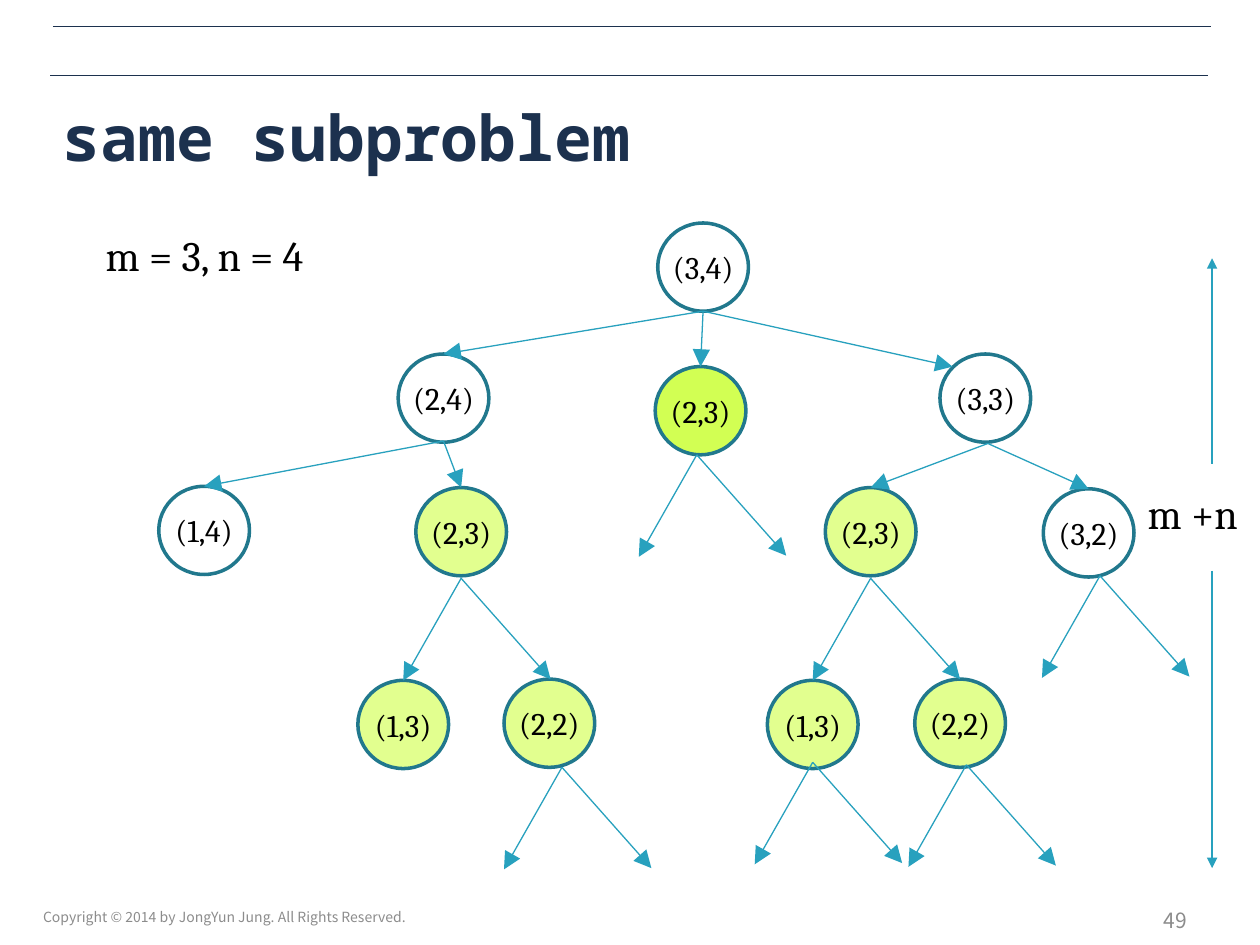
from lxml import etree
from pptx import Presentation
from pptx.dml.color import RGBColor
from pptx.enum import shapes, text
from pptx.oxml import ns
from pptx.util import Inches, Pt

HUES = {"navy": "1C314E", "rim": "21788D", "edge": "28A1BE", "ink": "000000",
        "gray": "8C8C8C", "lime": "E2FF8F", "bright": "D2FF53"}
SERIF, SANS, MONO = "Cambria", "Noto Sans CJK KR", "Noto Sans Mono"
WIDE, HIGH = 0.72, 0.7

# Nodes: label, left, top, fill
NODES = [
    ("(3,4)", 5.22, 1.77, None),
    ("(2,4)", 3.16, 2.81, None), ("(2,3)", 5.2, 2.91, "bright"),
    ("(3,3)", 7.46, 2.81, None),
    ("(1,4)", 1.26, 3.86, None), ("(2,3)", 3.3, 3.87, "lime"),
    ("(2,3)", 6.55, 3.87, "lime"), ("(3,2)", 8.28, 3.88, None),
    ("(1,3)", 2.84, 5.4, "lime"), ("(2,2)", 4, 5.39, "lime"),
    ("(1,3)", 6.09, 5.4, "lime"), ("(2,2)", 7.26, 5.39, "lime"),
]
# Upper edges: start, ends
EDGES = [
    ((5.58, 2.47), [(3.52, 2.81), (5.56, 2.91), (7.56, 2.91)]),
    ((3.52, 3.5), [(1.62, 3.86), (3.66, 3.87)]),
    ((7.84, 3.52), [(6.91, 3.87), (8.64, 3.88)]),
]
# Lower edges: every fork has the same two arms
FORKS = [(3.66, 4.59), (6.91, 4.59), (5.53, 3.61), (8.73, 4.57),
         (6.45, 6.05), (4.46, 6.09), (7.67, 6.07)]
ARMS = [(-0.46, 0.81), (0.71, 0.8)]
# Height arrows and header rules
SPANS = [((9.62, 3.68), (9.62, 2.05)), ((9.62, 4.53), (9.62, 6.89))]
RULES = [((0.42, 0.21), (9.61, 0.21)), ((0.4, 0.6), (9.59, 0.6))]
# Texts: words, box, font, size, colour, bold, align, anchor, wrap
LEFT, MID, RIGHT = text.PP_ALIGN.LEFT, text.PP_ALIGN.CENTER, text.PP_ALIGN.RIGHT
TOP, HALF = text.MSO_ANCHOR.TOP, text.MSO_ANCHOR.MIDDLE
TEXTS = [
    ("same subproblem", (0.4, 0.62, 9.18, 0.93), MONO, 36, "navy", True, LEFT, HALF, True),
    ("m = 3, n = 4", (0.74, 1.77, 1.97, 0.5), SERIF, 24, "ink", False, LEFT, TOP, False),
    ("m +n", (9.01, 3.82, 0.99, 0.5), SERIF, 24, "ink", False, LEFT, TOP, False),
    ("Copyright © 2014 by JongYun Jung. All Rights Reserved.",
     (0.2, 7.08, 3.17, 0.4), SANS, 8, "gray", False, MID, HALF, True),
    ("49", (7.19, 7.1, 2.33, 0.4), SANS, 12, "gray", False, RIGHT, HALF, True),
]

deck = Presentation()
deck.slide_width, deck.slide_height = Inches(10), Inches(7.5)
slide = deck.slides.add_slide(deck.slide_layouts[6])


def hue(name):
    return RGBColor.from_string(HUES[name])


def write(frame, words, font, size, tint, bold, align, anchor, wrap):
    frame.text = words
    frame.word_wrap = wrap
    frame.vertical_anchor = anchor
    line = frame.paragraphs[0]
    line.alignment = align
    run = line.runs[0]
    run.font.name, run.font.size, run.font.bold = font, Pt(size), bold
    run.font.color.rgb = hue(tint)
    face = etree.SubElement(run.font._element, ns.qn("a:ea"))
    face.set("typeface", font)


def draw(start, end, tint, width, head=None):
    line = slide.shapes.add_connector(
        shapes.MSO_CONNECTOR.STRAIGHT, *map(Inches, start + end))
    line.line.color.rgb = hue(tint)
    line.line.width = Pt(width)
    if head:
        tip = etree.SubElement(line.line._get_or_add_ln(), ns.qn("a:tailEnd"))
        for key, value in (("type", "triangle"), ("w", head), ("len", head)):
            tip.set(key, value)
    etree.SubElement(line._element.spPr, ns.qn("a:effectLst"))


def node(label, left, top, fill):
    oval = slide.shapes.add_shape(
        shapes.MSO_SHAPE.OVAL, *map(Inches, (left, top, WIDE, HIGH)))
    oval.shadow.inherit = False
    if fill:
        oval.fill.solid()
        oval.fill.fore_color.rgb = hue(fill)
    else:
        oval.fill.background()
    oval.line.color.rgb = hue("rim")
    oval.line.width = Pt(2)
    frame = oval.text_frame
    frame.margin_left = frame.margin_right = 0
    frame.margin_top = frame.margin_bottom = 0
    write(frame, label, SERIF, 18, "ink", False, MID, HALF, True)


# Header rules
for start, end in RULES:
    draw(start, end, "navy", 0.25)

# Title, notes and footer
for words, box, *style in TEXTS:
    write(slide.shapes.add_textbox(*map(Inches, box)).text_frame, words, *style)

# Tree
for item in NODES:
    node(*item)
for start, ends in EDGES:
    for end in ends:
        draw(start, end, "edge", 0.75, "lg")
for x, y in FORKS:
    for dx, dy in ARMS:
        draw((x, y), (x + dx, y + dy), "edge", 0.75, "lg")

# Height of the tree
for start, end in SPANS:
    draw(start, end, "edge", 0.75, "med")

deck.save("out.pptx")
